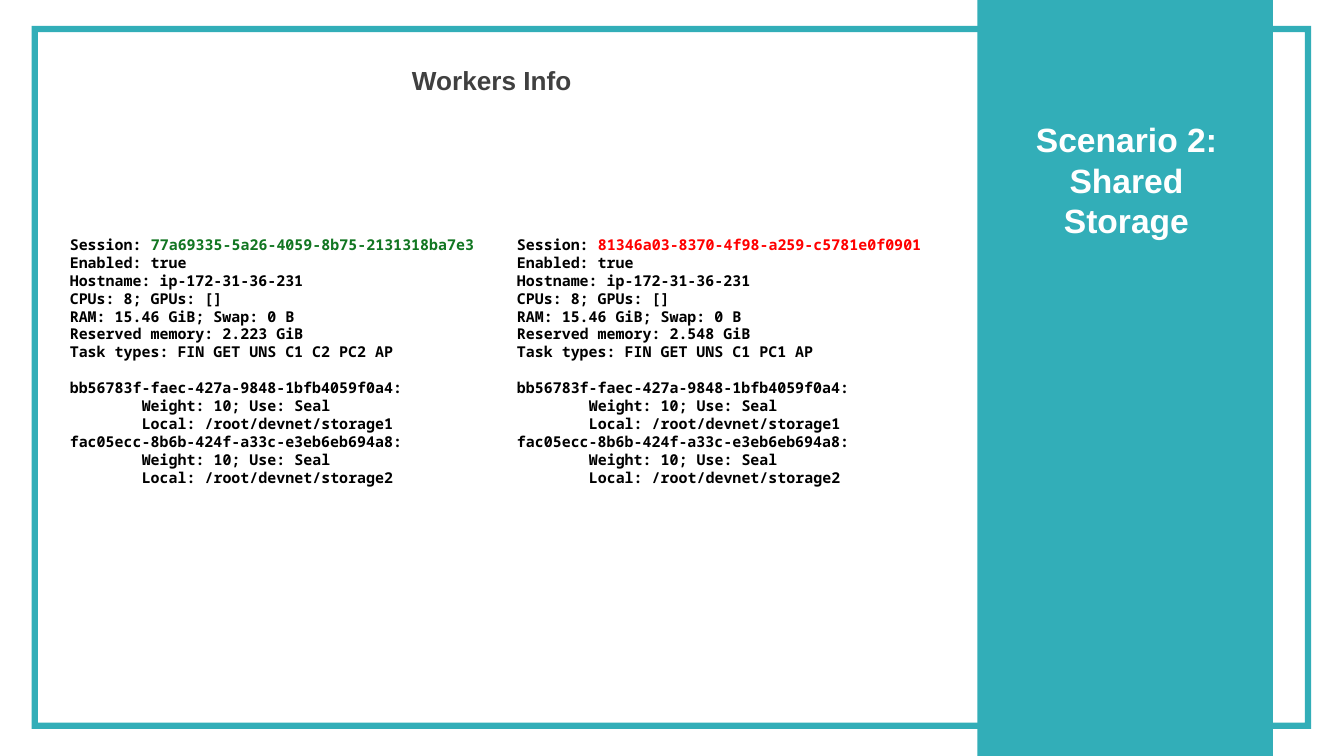
from pptx import Presentation
from pptx.dml.color import RGBColor
from pptx.enum.shapes import MSO_SHAPE
from pptx.enum.text import PP_ALIGN
from pptx.util import Cm, Pt

TEAL = "32AEB8"
MONO = "Noto Sans Mono"
STORES = ["bb56783f-faec-427a-9848-1bfb4059f0a4",
          "fac05ecc-8b6b-424f-a33c-e3eb6eb694a8"]
# Left edge, session, its colour, reserved memory, task types
WORKERS = [
    (1.07, "77a69335-5a26-4059-8b75-2131318ba7e3", "127622",
     "2.223", "C1 C2 PC2"),
    (9.52, "81346a03-8370-4f98-a259-c5781e0f0901", "FF0000",
     "2.548", "C1 PC1"),
]


def paint(target, color):
    target.fill.solid()
    target.fill.fore_color.rgb = RGBColor.from_string(color)


def add_block(slide, kind, left, top, width, height):
    block = slide.shapes.add_shape(
        kind, Cm(left), Cm(top), Cm(width), Cm(height))
    block.shadow.inherit = False
    paint(block, TEAL)
    block.line.fill.background()
    return block


def style(run, size, color, font):
    run.font.size = Pt(size)
    run.font.name = font
    run.font.bold = True
    paint(run.font, color)


def add_text(slide, place, lines, size, color, font="Arial", align=None):
    left, top, width, height = place
    box = slide.shapes.add_textbox(Cm(left), Cm(top), Cm(width), Cm(height))
    frame = box.text_frame
    frame.word_wrap = True
    frame.text = "\n".join(lines)
    for para in frame.paragraphs:
        para.alignment = align
        para.line_spacing = Pt(size * 1.2)
        for run in para.runs:
            style(run, size, color, font)
    return frame.paragraphs


def add_worker(slide, left, session, color, memory, tasks):
    lines = ["Session: ", "Enabled: true", "Hostname: ip-172-31-36-231",
             "CPUs: 8; GPUs: []", "RAM: 15.46 GiB; Swap: 0 B",
             f"Reserved memory: {memory} GiB",
             f"Task types: FIN GET UNS {tasks} AP"]
    first = len(lines)
    for num, store in enumerate(STORES, 1):
        lines += [f"{store}:", "Weight: 10; Use: Seal",
                  f"Local: /root/devnet/storage{num}"]
    paras = add_text(slide, (left, 4.32, 8.26, 5.16), lines, 8, "000000", MONO)

    # Session id in the colour of its worker
    run = paras[0].add_run()
    run.text = session
    style(run, 8, color, MONO)

    # Gap above the storage list, details indented
    paras[first].space_before = Pt(9.6)
    for para in paras[first:]:
        if para.text.startswith(("Weight", "Local")):
            props = para._p.get_or_add_pPr()
            props.set("marL", str(Cm(1.36)))
            props.set("indent", "0")


def main():
    deck = Presentation()
    deck.slide_width, deck.slide_height = Cm(25.4), Cm(14.28)
    slide = deck.slides.add_slide(deck.slide_layouts[6])

    # Border and side panel
    border = add_block(slide, MSO_SHAPE.FRAME, 0.6, 0.49, 24.18, 13.28)
    border.adjustments[0] = 0.009
    add_block(slide, MSO_SHAPE.RECTANGLE, 18.47, 0, 5.59, 14.28)

    # Headings
    add_text(slide, (18.8, 2.13, 4.98, 3.99),
             ["Scenario 2:", "Shared", "Storage"], 18, "FFFFFF",
             align=PP_ALIGN.CENTER)
    add_text(slide, (2.31, 1.09, 13.97, 0.79), ["Workers Info"], 14,
             "404040", align=PP_ALIGN.CENTER)

    # Worker details
    for worker in WORKERS:
        add_worker(slide, *worker)

    deck.save("out.pptx")


main()
